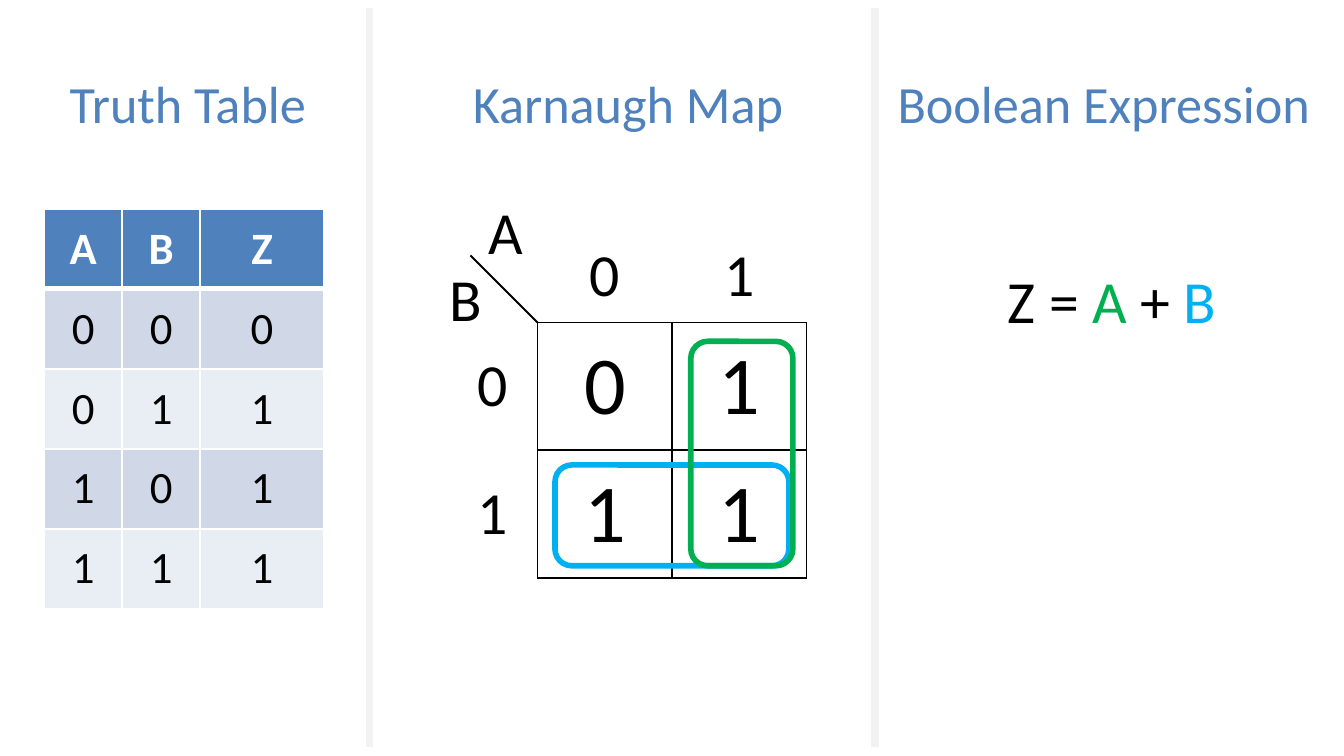
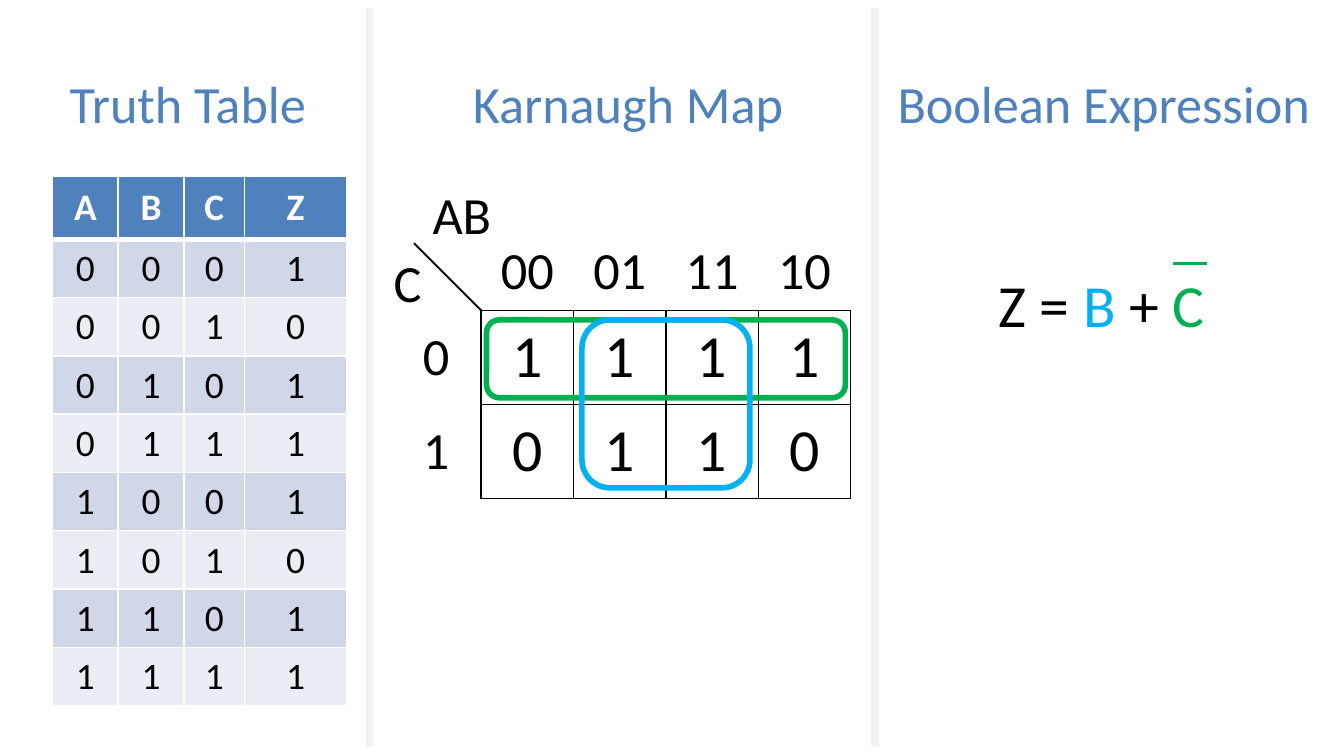
from dataclasses import dataclass
from itertools import product
from typing import NamedTuple, Optional, Sequence

from lxml import etree
from pptx import Presentation
from pptx.dml.color import RGBColor
from pptx.enum.shapes import MSO_CONNECTOR, MSO_SHAPE
from pptx.enum.text import MSO_ANCHOR, MSO_AUTO_SIZE, PP_ALIGN
from pptx.oxml.ns import qn
from pptx.slide import Slide
from pptx.table import Table, _Cell
from pptx.util import Emu, Pt

STRAIGHT = MSO_CONNECTOR.STRAIGHT
ROUNDED_RECTANGLE = MSO_SHAPE.ROUNDED_RECTANGLE
MIDDLE = MSO_ANCHOR.MIDDLE
CENTER = PP_ALIGN.CENTER
FIT_TEXT = MSO_AUTO_SIZE.SHAPE_TO_FIT_TEXT
BORDER_SIDES = ("L", "R", "T", "B")
EMU_PER_PX = 9144  # 100 px to the inch


@dataclass(frozen=True)
class Theme:
    font: str = "Calibri"
    ink: str = "000000"
    white: str = "FFFFFF"
    heading: str = "4F81BD"
    odd_band: str = "D0D8E8"
    even_band: str = "E9EDF4"
    divider: str = "F2F2F2"
    green: str = "00B050"
    blue: str = "00B0F0"
    heading_size: int = 28
    expression_size: int = 32
    thin_line: int = 1
    overline: int = 2
    thick_line: int = 3
    divider_line: int = 4


THEME = Theme()


class Box(NamedTuple):
    left: int
    top: int
    width: int
    height: int


class Point(NamedTuple):
    x: int
    y: int


class TextRun(NamedTuple):
    text: str
    color: str


class Heading(NamedTuple):
    text: str
    box: Box


class Ring(NamedTuple):
    box: Box
    color: str


class CellStyle(NamedTuple):
    size: int
    color: str = THEME.ink
    fill: Optional[str] = None
    border: Optional[str] = None
    bold: bool = False


@dataclass(frozen=True)
class TruthTable:
    box: Box
    inputs: str
    outputs: str
    column_widths: Sequence[int]
    header_height: int
    size: int


@dataclass(frozen=True)
class KarnaughMap:
    box: Box
    values: Sequence[str]
    column_labels: Sequence[str]
    column_variable: str
    row_variable: str
    variable_widths: tuple[int, int]
    label_height: int
    label_size: int
    value_size: int
    rings: Sequence[Ring]


@dataclass(frozen=True)
class Example:
    truth_table: TruthTable
    karnaugh_map: KarnaughMap
    expression: Sequence[TextRun]
    expression_box: Box
    overline: Optional[tuple[Point, Point]] = None


HEADINGS = (
    Heading("Truth Table", Box(42, 48, 198, 57)),
    Heading("Karnaugh Map", Box(342, 48, 254, 57)),
    Heading("Boolean Expression", Box(658, 48, 330, 57)),
)
DIVIDERS_X = (275, 651)
COLUMN_LABELS_TOP = 173
ROW_LABELS_WIDTH = 67

EXAMPLES = (
    Example(
        TruthTable(Box(33, 156, 208, 297), "AB", "0111", (58, 58, 92), 59, 24),
        KarnaughMap(
            Box(400, 240, 200, 190), ("01", "11"), ("0", "1"), "A", "B",
            (46, 46), 63, 32, 44,
            (Ring(Box(413, 346, 174, 75), THEME.blue),
             Ring(Box(514, 254, 76, 167), THEME.green)),
        ),
        (TextRun("Z = ", THEME.ink), TextRun("A", THEME.green),
         TextRun(" + ", THEME.ink), TextRun("B", THEME.blue)),
        Box(740, 165, 177, 91),
    ),
    Example(
        TruthTable(Box(39, 131, 220, 394), "ABC", "10111011",
                   (49, 49, 45, 76), 47, 20),
        KarnaughMap(
            Box(358, 231, 275, 140), ("1111", "0110"),
            ("00", "01", "11", "10"), "AB", "C", (64, 41), 57, 28, 32,
            (Ring(Box(362, 238, 267, 58), THEME.green),
             Ring(Box(433, 238, 125, 125), THEME.blue)),
        ),
        (TextRun("Z = ", THEME.ink), TextRun("B", THEME.blue),
         TextRun(" + ", THEME.ink), TextRun("C", THEME.green)),
        Box(733, 168, 175, 91),
        (Point(873, 196), Point(898, 196)),
    ),
)


def px(length: int) -> Emu:
    return Emu(length * EMU_PER_PX)


def place(box: Box) -> tuple[Emu, ...]:
    return tuple(px(length) for length in box)


def rgb(color: str) -> RGBColor:
    return RGBColor.from_string(color)


def add_run(paragraph, run_text: TextRun, size: int, bold: bool = False) -> None:
    run = paragraph.add_run()
    run.text = run_text.text
    run.font.name = THEME.font
    run.font.size = Pt(size)
    run.font.bold = bold
    run.font.color.rgb = rgb(run_text.color)


def add_text(slide: Slide, box: Box, runs: Sequence[TextRun], size: int,
             line_spacing: float = 1.0) -> None:
    frame = slide.shapes.add_textbox(*place(box)).text_frame
    frame.word_wrap = False
    frame.auto_size = FIT_TEXT
    paragraph = frame.paragraphs[0]
    paragraph.line_spacing = line_spacing
    for run_text in runs:
        add_run(paragraph, run_text, size)


def add_line(slide: Slide, start: Point, end: Point, color: str, width: int) -> None:
    connector = slide.shapes.add_connector(
        STRAIGHT, px(start.x), px(start.y), px(end.x), px(end.y))
    connector.line.color.rgb = rgb(color)
    connector.line.width = Pt(width)
    etree.SubElement(connector._element.spPr, qn("a:effectLst"))


def add_ring(slide: Slide, ring: Ring) -> None:
    shape = slide.shapes.add_shape(ROUNDED_RECTANGLE, *place(ring.box))
    shape.shadow.inherit = False
    shape.fill.background()
    shape.line.color.rgb = rgb(ring.color)
    shape.line.width = Pt(THEME.thick_line)


def set_borders(cell: _Cell, color: Optional[str], thick_side: str) -> None:
    """Border lines come before the fill in the cell properties."""
    properties = cell._tc.get_or_add_tcPr()
    for index, side in enumerate(BORDER_SIDES):
        width = THEME.thick_line if side == thick_side else THEME.thin_line
        line = etree.Element(qn(f"a:ln{side}"), w=str(Pt(width)))
        if color is None:
            etree.SubElement(line, qn("a:noFill"))
        else:
            fill = etree.SubElement(line, qn("a:solidFill"))
            etree.SubElement(fill, qn("a:srgbClr"), val=color)
        properties.insert(index, line)


def fill_cell(cell: _Cell, text: str, style: CellStyle, thick_side: str = "") -> None:
    cell.vertical_anchor = MIDDLE
    paragraph = cell.text_frame.paragraphs[0]
    paragraph.alignment = CENTER
    add_run(paragraph, TextRun(text, style.color), style.size, style.bold)
    if style.fill is None:
        cell.fill.background()
    else:
        cell.fill.solid()
        cell.fill.fore_color.rgb = rgb(style.fill)
    set_borders(cell, style.border, thick_side)


def new_table(slide: Slide, box: Box, rows: int, columns: int) -> Table:
    table = slide.shapes.add_table(rows, columns, *place(box)).table
    table.first_row = False
    table.horz_banding = False
    return table


def add_grid(slide: Slide, box: Box, rows: Sequence[Sequence[str]],
             style: CellStyle) -> None:
    """Draw a table of equal cells in one style."""
    table = new_table(slide, box, len(rows), len(rows[0]))
    for row_index, row in enumerate(rows):
        for column_index, text in enumerate(row):
            fill_cell(table.cell(row_index, column_index), text, style)


def add_truth_table(slide: Slide, truth: TruthTable) -> None:
    combinations = product("01", repeat=len(truth.inputs))
    rows = [(*truth.inputs, "Z")]
    rows += [(*bits, output) for bits, output in zip(combinations, truth.outputs)]
    table = new_table(slide, truth.box, len(rows), len(rows[0]))
    for column, width in zip(table.columns, truth.column_widths):
        column.width = px(width)
    body_height = px(truth.box.height - truth.header_height) // len(truth.outputs)

    header = CellStyle(truth.size, THEME.white, THEME.heading, THEME.white, True)
    bands = [CellStyle(truth.size, fill=fill, border=THEME.white)
             for fill in (THEME.even_band, THEME.odd_band)]
    thick_sides = {0: "B", 1: "T"}
    for row_index, row in enumerate(rows):
        table.rows[row_index].height = body_height if row_index else px(truth.header_height)
        style = bands[row_index % 2] if row_index else header
        for column_index, text in enumerate(row):
            fill_cell(table.cell(row_index, column_index), text, style,
                      thick_sides.get(row_index, ""))


def add_karnaugh_map(slide: Slide, karnaugh: KarnaughMap) -> None:
    left, top, width, height = karnaugh.box
    label = CellStyle(karnaugh.label_size)
    add_grid(slide, karnaugh.box, karnaugh.values,
             CellStyle(karnaugh.value_size, border=THEME.ink))
    add_grid(slide, Box(left, COLUMN_LABELS_TOP, width, karnaugh.label_height),
             [karnaugh.column_labels], label)
    add_grid(slide, Box(left - ROW_LABELS_WIDTH, top, ROW_LABELS_WIDTH, height),
             ("0", "1"), label)
    add_line(slide, Point(left, top), Point(left - 50, top - 50),
             THEME.ink, THEME.thin_line)
    column_width, row_width = karnaugh.variable_widths
    for text, x, y, text_width in (
        (karnaugh.column_variable, left - 46, top - 100, column_width),
        (karnaugh.row_variable, left - 75, top - 50, row_width),
    ):
        add_text(slide, Box(x, y, text_width, karnaugh.label_height),
                 [TextRun(text, THEME.ink)], karnaugh.label_size)


def add_example(slide: Slide, example: Example) -> None:
    add_karnaugh_map(slide, example.karnaugh_map)
    add_truth_table(slide, example.truth_table)
    add_text(slide, example.expression_box, example.expression,
             THEME.expression_size, 1.5)
    for heading in HEADINGS:
        add_text(slide, heading.box, [TextRun(heading.text, THEME.heading)],
                 THEME.heading_size)
    for ring in example.karnaugh_map.rings:
        add_ring(slide, ring)
    if example.overline:
        add_line(slide, *example.overline, THEME.green, THEME.overline)
    for x in DIVIDERS_X:
        add_line(slide, Point(x, 6), Point(x, 556), THEME.divider, THEME.divider_line)


def main() -> None:
    presentation = Presentation()
    presentation.slide_width = px(1000)
    presentation.slide_height = Emu(presentation.slide_width * 9 // 16)
    blank_layout = presentation.slide_layouts[6]
    for example in EXAMPLES:
        add_example(presentation.slides.add_slide(blank_layout), example)
    presentation.save("out.pptx")


if __name__ == "__main__":
    main()
